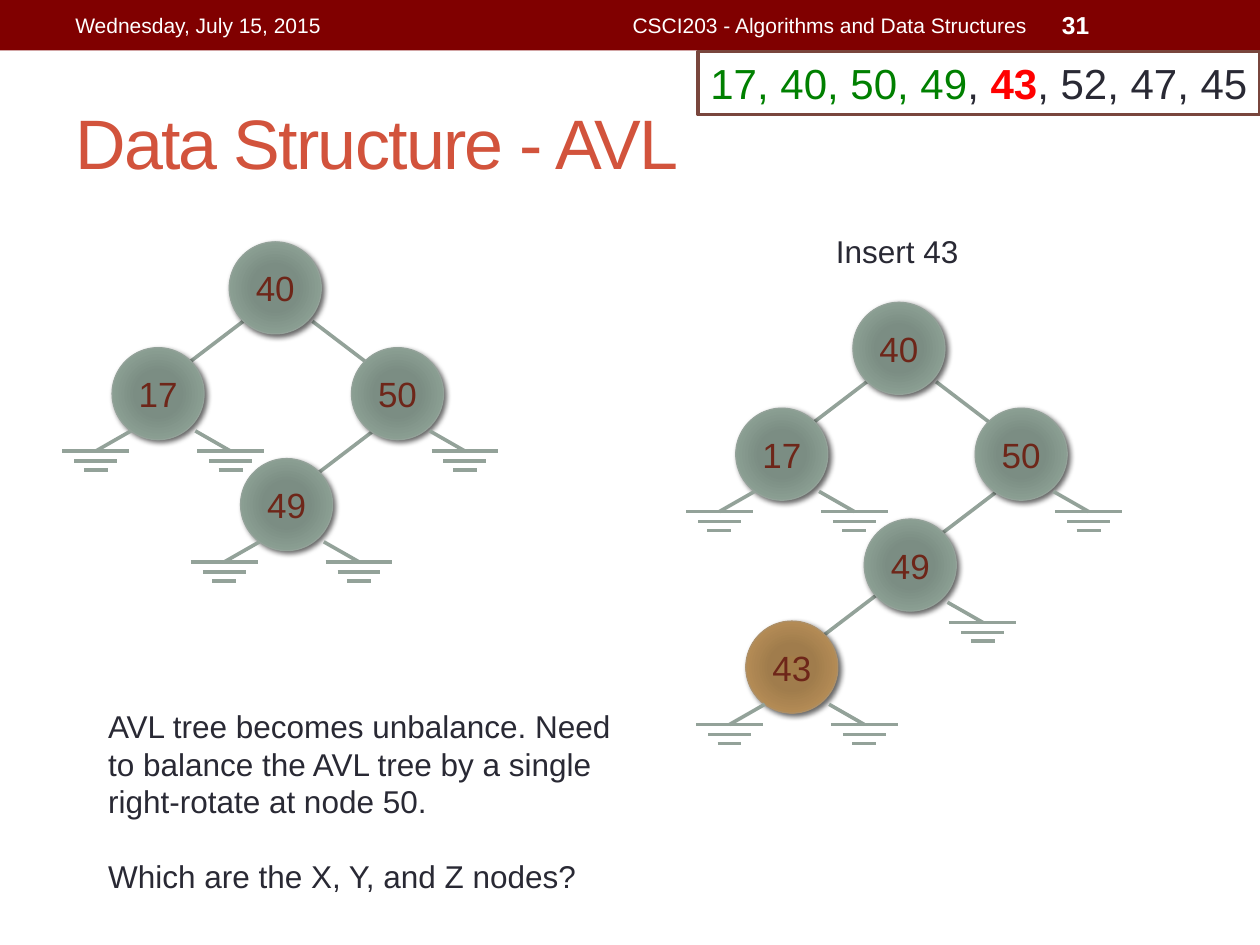
from lxml.etree import SubElement
from pptx import Presentation
from pptx.dml.color import RGBColor
from pptx.enum.shapes import MSO_CONNECTOR, MSO_SHAPE
from pptx.enum.text import MSO_ANCHOR, PP_ALIGN
from pptx.oxml.ns import qn
from pptx.util import Inches, Pt

WHITE = RGBColor(0xFF, 0xFF, 0xFF)
BLACK = RGBColor(0, 0, 0)
MAROON = RGBColor(0x80, 0, 0)
TITLE = RGBColor(0xD2, 0x53, 0x3C)
INK = RGBColor(0x29, 0x29, 0x34)
GREEN = RGBColor(0, 0x80, 0)
RED = RGBColor(0xFF, 0, 0)
FRAME = RGBColor(0x79, 0x46, 0x3D)
LABEL = RGBColor(0x6E, 0x26, 0x19)
SAGE = RGBColor(0x93, 0xA2, 0x99)
SAGE_STOPS = (RGBColor(0x7B, 0x8E, 0x82), RGBColor(0x7B, 0x8D, 0x83),
              RGBColor(0x8A, 0x9E, 0x92), SAGE)
TAN_STOPS = (RGBColor(0xA3, 0x7D, 0x49), RGBColor(0xA0, 0x7C, 0x4C),
             RGBColor(0xB3, 0x8B, 0x55), RGBColor(0xAD, 0x8F, 0x67))

FONT = "Arial"
SLIDE_W, SLIDE_H = Inches(10), Inches(7.5)
COL, ROW = SLIDE_W // 1000, SLIDE_H // 750
NODE = 73
LEFT, RIGHT = -1, 1
GROUND_BARS = ((0, 53), (8, 34), (15, 19))

NODES = {
    "40": (132, 0, SAGE_STOPS, {}),
    "17": (39, 84, SAGE_STOPS, {LEFT: 15, RIGHT: 66}),
    "50": (229, 84, SAGE_STOPS, {RIGHT: 62}),
    "49": (141, 172, SAGE_STOPS, {LEFT: 15, RIGHT: 66}),
    "43": (47, 253, TAN_STOPS, {LEFT: 15, RIGHT: 66}),
}
PARENTS = {"17": ("40", LEFT), "50": ("40", RIGHT),
           "49": ("50", LEFT), "43": ("49", LEFT)}


def grid(*lengths):
    return [round(n * unit) for n, unit in zip(lengths, (COL, ROW) * 2)]


def set_font(font, size, color, bold=False):
    font.name, font.size, font.bold = FONT, Pt(size), bold
    font.color.rgb = color


def add_text(s, box, paragraphs, size, color, align=PP_ALIGN.LEFT,
             anchor=MSO_ANCHOR.TOP, bold=False, gap=0):
    tf = s.shapes.add_textbox(*grid(*box)).text_frame
    tf.word_wrap, tf.vertical_anchor = True, anchor
    for i, text in enumerate(paragraphs):
        p = tf.add_paragraph() if i else tf.paragraphs[0]
        p.text, p.alignment = text, align
        if i:
            p.space_before = Pt(gap)
        set_font(p.font, size, color, bold)
    return tf


def add_line(shapes, x1, y1, x2, y2):
    line = shapes.add_connector(MSO_CONNECTOR.STRAIGHT, *grid(x1, y1, x2, y2))
    line.line.color.rgb, line.line.width = SAGE, Pt(2.08)
    SubElement(line._element.spPr, qn("a:effectLst"))


def add_color(parent, color, alpha=100):
    clr = SubElement(parent, qn("a:srgbClr"), val=str(color))
    SubElement(clr, qn("a:alpha"), val=str(alpha * 1000))


def radial_fill(sp, stops):
    sp.fill.background()
    spPr = sp._element.spPr
    grad = SubElement(spPr, qn("a:gradFill"), rotWithShape="1")
    gs_list = SubElement(grad, qn("a:gsLst"))
    for pos, color in zip((0, 34, 70, 100), stops):
        add_color(SubElement(gs_list, qn("a:gs"), pos=str(pos * 1000)), color)
    circle = SubElement(grad, qn("a:path"), path="circle")
    SubElement(circle, qn("a:fillToRect"), **dict.fromkeys("ltrb", "100000"))
    spPr.replace(spPr.find(qn("a:noFill")), grad)


def drop_shadow(sp):
    sp.shadow.inherit = False
    effects = sp._element.spPr.find(qn("a:effectLst"))
    shadow = SubElement(effects, qn("a:outerShdw"), blurRad=str(Pt(3)),
                        dist=str(Pt(2)), dir=str(45 * 60000), rotWithShape="0")
    add_color(shadow, BLACK, 60)


def add_node(shapes, x, y, value, stops):
    sp = shapes.add_shape(MSO_SHAPE.OVAL, *grid(x, y, NODE, NODE))
    sp.line.color.rgb, sp.line.width = stops[-1], Pt(0.75)
    radial_fill(sp, stops)
    drop_shadow(sp)
    p = sp.text_frame.paragraphs[0]
    p.text, p.alignment = value, PP_ALIGN.CENTER
    set_font(p.font, 20, LABEL)


def add_edge(shapes, x, y, side):
    start = x + (62 if side == LEFT else 11)
    add_line(shapes, start, y + 11, start - side * 42, y - 21)


def add_ground(shapes, x, y, side):
    tip, top = x + side * 28, y + 16
    add_line(shapes, x, y, tip, top)
    for drop, width in GROUND_BARS:
        add_line(shapes, tip - width / 2, top + drop, tip + width / 2, top + drop)


def add_tree(s, left, top, values):
    shapes = s.shapes.add_group_shape().shapes
    links = {value: PARENTS[value] for value in values if value in PARENTS}
    for value, (_, side) in links.items():
        x, y, _, _ = NODES[value]
        add_edge(shapes, left + x, top + y, side)
    for value in values:
        x, y, stops, roots = NODES[value]
        add_node(shapes, left + x, top + y, value, stops)
        for side, root in roots.items():
            if (value, side) not in links.values():
                add_ground(shapes, left + x + root, top + y + 66, side)


def add_header(s, height):
    bar = s.shapes.add_shape(MSO_SHAPE.RECTANGLE, *grid(0, 0, 1000, height))
    bar.fill.solid()
    bar.fill.fore_color.rgb = MAROON
    bar.line.fill.background()
    bar.shadow.inherit = False
    for x, w, text, size, align, bold in (
            (50, 317, "Wednesday, July 15, 2015", 12, PP_ALIGN.LEFT, False),
            (375, 450, "CSCI203 - Algorithms and Data Structures", 12,
             PP_ALIGN.RIGHT, False),
            (833, 117, "31", 14, PP_ALIGN.LEFT, True)):
        add_text(s, (x, 2, w, height - 4), [text], size, WHITE, align,
                 MSO_ANCHOR.MIDDLE, bold)


def add_title(s, box):
    tf = add_text(s, box, ["Data Structure - AVL"], 40, TITLE,
                  anchor=MSO_ANCHOR.MIDDLE)
    tf.paragraphs[0].runs[0]._r.get_or_add_rPr().set("spc", "-100")


def add_sequence(s, box):
    sp = s.shapes.add_shape(MSO_SHAPE.RECTANGLE, *grid(*box))
    sp.fill.solid()
    sp.fill.fore_color.rgb = WHITE
    sp.line.color.rgb, sp.line.width = FRAME, Pt(2.08)
    sp.shadow.inherit = False
    tf = sp.text_frame
    tf.word_wrap, tf.vertical_anchor = False, MSO_ANCHOR.TOP
    p = tf.paragraphs[0]
    p.alignment = PP_ALIGN.LEFT
    for text, color in (("17, 40, 50, 49", GREEN), (",", INK),
                        (" 43", RED), (", 52, 47, 45", INK)):
        r = p.add_run()
        r.text = text
        set_font(r.font, 24, color, color == RED)


def main():
    prs = Presentation()
    prs.slide_width, prs.slide_height = SLIDE_W, SLIDE_H
    s = prs.slides.add_slide(prs.slide_layouts[6])
    add_header(s, 40)
    add_title(s, (50, 58, 900, 108))
    add_sequence(s, (554, 41, 446, 50))
    add_tree(s, 50, 192, ("40", "17", "50", "49"))
    add_text(s, (633, 179, 158, 40), ["Insert 43"], 18, INK, PP_ALIGN.CENTER)
    add_tree(s, 545, 240, ("40", "17", "50", "49", "43"))
    add_text(s, (76, 556, 434, 162),
             ["AVL tree becomes unbalance. Need to balance the AVL tree by a "
              "single right-rotate at node 50.",
              "Which are the X, Y, and Z nodes?"], 18, INK, gap=21)
    prs.save("out.pptx")


if __name__ == "__main__":
    main()
